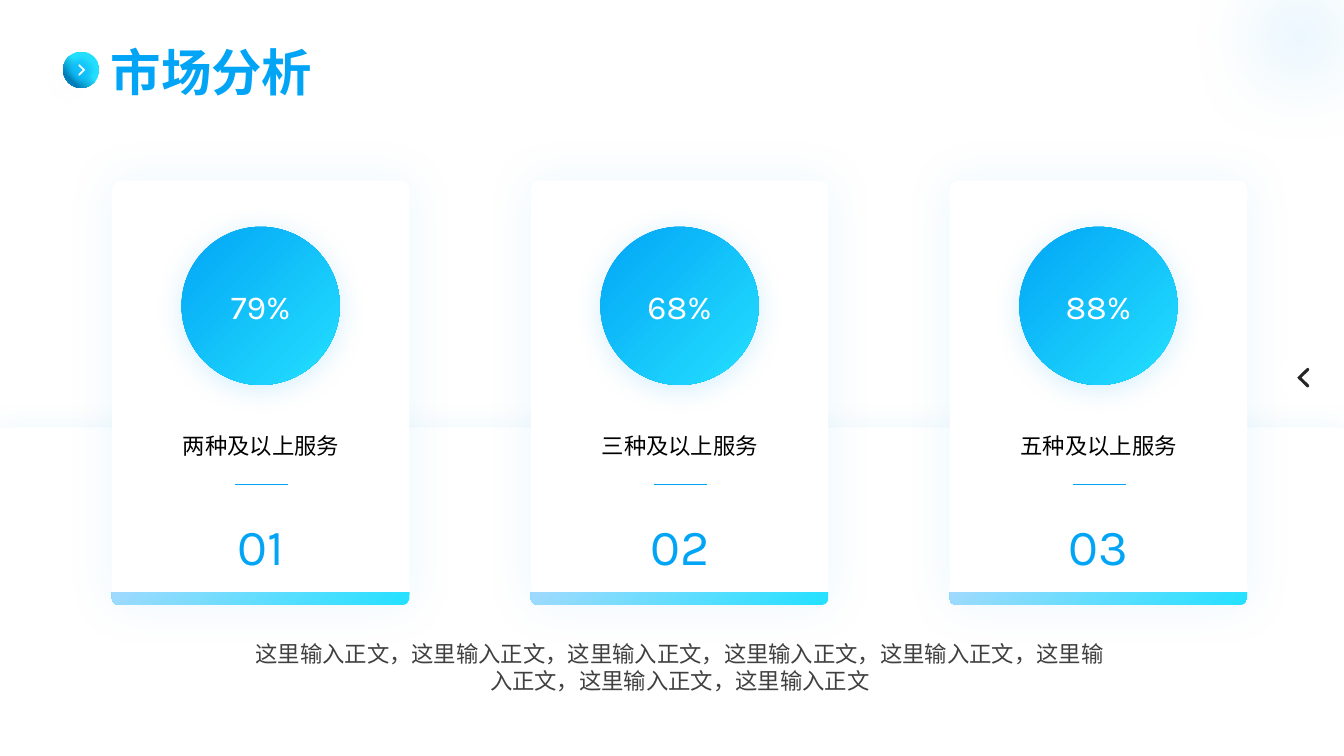
from dataclasses import dataclass
from typing import Any, Optional

from lxml import etree
from pptx import Presentation
from pptx.dml.color import RGBColor
from pptx.enum.shapes import MSO_CONNECTOR, MSO_SHAPE
from pptx.enum.text import MSO_ANCHOR, PP_ALIGN
from pptx.oxml.ns import qn
from pptx.util import Pt

OVAL, RECT = MSO_SHAPE.OVAL, MSO_SHAPE.RECTANGLE
ROUND_RECT, ROUND_TOP = MSO_SHAPE.ROUNDED_RECTANGLE, MSO_SHAPE.ROUND_2_SAME_RECTANGLE
STRAIGHT = MSO_CONNECTOR.STRAIGHT
LEFT, CENTER, TOP = PP_ALIGN.LEFT, PP_ALIGN.CENTER, MSO_ANCHOR.TOP

COLORS = {
    "white": "FFFFFF", "black": "000000", "blue": "02A5F5", "cyan": "24E0FF",
    "deep": "017CB8", "sky": "9FDAFE", "gray": "404040", "dark": "262626",
}


@dataclass(frozen=True)
class Gradient:
    stops: tuple[tuple[int, str], ...]
    angle: int = 45


@dataclass(frozen=True)
class Shadow:
    color: str
    alpha: int
    blur: float
    dist: float = 0
    angle: int = 0


@dataclass(frozen=True)
class Card:
    percent: str
    caption: str
    number: str


BLUE_CYAN = Gradient(((0, "blue"), (100, "cyan")))
BLUE_CYAN_FLAT = Gradient(BLUE_CYAN.stops, 0)
CYAN_BLUE = Gradient(((0, "cyan"), (100, "blue")))
CYAN_SKY = Gradient(((0, "cyan"), (100, "sky")))
BUTTON_RIM = Gradient(((15, "cyan"), (45, "cyan"), (80, "deep"), (100, "blue")))

CARDS = [
    Card("79%", "两种及以上服务", "01"),
    Card("68%", "三种及以上服务", "02"),
    Card("88%", "五种及以上服务", "03"),
]
CARD_LEFT, CARD_PITCH, CARD_TOP = 80, 299.2, 129
CARD_WIDTH, CARD_HEIGHT, BAR_HEIGHT = 212.4, 303, 9

# Chevron pointing right, as fractions of its width and height
CHEVRON = [
    (0.17, 0), (0.92, 0.44), (1, 0.5), (0.92, 0.56), (0.17, 1), (0.05, 0.98),
    (0, 0.9), (0.08, 0.83), (0.66, 0.5), (0.08, 0.17), (0, 0.1), (0.05, 0.02),
]

prs = Presentation()
prs.slide_width, prs.slide_height = Pt(960), Pt(540)
slide = prs.slides.add_slide(prs.slide_layouts[6])
shapes = slide.shapes


def add_color(parent: Any, color: str, alpha: Optional[int] = None) -> None:
    clr = etree.SubElement(parent, qn("a:srgbClr"), val=COLORS[color])
    if alpha is not None:
        etree.SubElement(clr, qn("a:alpha"), val=str(alpha * 1000))


def paint(fill: Any, props: Any, color: str | Gradient, alpha: Optional[int] = None) -> None:
    """Fill a shape or a run; props is the element that holds the fill."""
    fill.solid()
    solid = props.find(qn("a:solidFill"))
    if isinstance(color, str):
        fill.fore_color.rgb = RGBColor.from_string(COLORS[color])
        if alpha is not None:
            etree.SubElement(solid[0], qn("a:alpha"), val=str(alpha * 1000))
        return
    grad = etree.Element(qn("a:gradFill"), rotWithShape="1")
    stops = etree.SubElement(grad, qn("a:gsLst"))
    for pos, name in color.stops:
        add_color(etree.SubElement(stops, qn("a:gs"), pos=str(pos * 1000)), name)
    etree.SubElement(grad, qn("a:lin"), ang=str(color.angle * 60000), scaled="0")
    props.replace(solid, grad)


def finish(sp: Any, color: str | Gradient, alpha: Optional[int] = None,
           shadow: Optional[Shadow] = None, soft: float = 0) -> None:
    props = sp._element.spPr
    paint(sp.fill, props, color, alpha)
    sp.line.fill.background()
    sp.shadow.inherit = False
    effects = props.find(qn("a:effectLst"))
    if shadow:
        outer = etree.SubElement(
            effects, qn("a:outerShdw"), blurRad=str(Pt(shadow.blur)),
            dist=str(Pt(shadow.dist)), dir=str(shadow.angle * 60000),
            algn="ctr", rotWithShape="0")
        add_color(outer, shadow.color, shadow.alpha)
    if soft:
        etree.SubElement(effects, qn("a:softEdge"), rad=str(Pt(soft)))


def add_block(kind: Any, x: float, y: float, w: float, h: float, color: str | Gradient,
              rotation: float = 0, adj: tuple[float, ...] = (), **effects: Any) -> None:
    sp = shapes.add_shape(kind, Pt(x), Pt(y), Pt(w), Pt(h))
    sp.rotation = rotation
    for i, value in enumerate(adj):
        sp.adjustments[i] = value
    finish(sp, color, **effects)


def add_chevron(x: float, y: float, w: float, h: float, color: str,
                shadow: Optional[Shadow] = None) -> None:
    """Draw a chevron; a negative width makes it point left from x."""
    points = [(Pt(x + fx * w), Pt(y + fy * h)) for fx, fy in CHEVRON]
    builder = shapes.build_freeform(*points[0])
    builder.add_line_segments(points[1:], close=True)
    finish(builder.convert_to_shape(), color, shadow=shadow)


def add_text(text: str, x: float, y: float, w: float, h: float, *, size: float,
             font: str, color: str | Gradient, bold: bool = False,
             align: Any = CENTER) -> None:
    tf = shapes.add_textbox(Pt(x), Pt(y), Pt(w), Pt(h)).text_frame
    tf.word_wrap = True
    tf.vertical_anchor = TOP
    p = tf.paragraphs[0]
    p.alignment = align
    r = p.add_run()
    r.text = text
    r.font.size, r.font.name, r.font.bold = Pt(size), font, bold
    paint(r.font.fill, r._r.get_or_add_rPr(), color)


def add_rule(x: float, y: float, length: float) -> None:
    line = shapes.add_connector(STRAIGHT, Pt(x), Pt(y), Pt(x + length), Pt(y))
    line.line.color.rgb = RGBColor.from_string(COLORS["blue"])
    line.line.width = Pt(1)
    etree.SubElement(line._element.spPr, qn("a:effectLst"))


def add_card(card: Card, x: float) -> None:
    add_block(ROUND_RECT, x, CARD_TOP, CARD_WIDTH, CARD_HEIGHT, "white",
              adj=(0.029,), shadow=Shadow("blue", 8, 35))
    add_block(ROUND_TOP, x, CARD_TOP + CARD_HEIGHT - BAR_HEIGHT, CARD_WIDTH, BAR_HEIGHT,
              CYAN_SKY, rotation=180, adj=(0.5, 0))
    add_block(OVAL, x + 49.7, 162, 113, 113, BLUE_CYAN, shadow=Shadow("blue", 17, 20, 3, 90))
    add_text(card.percent, x + 48.6, 200.8, 115.2, 36, size=24, font="Karla", color="white")
    add_text(card.caption, x + 26.5, 305.3, 160, 26.6, size=16, font="Cabin", color="black")
    add_text(card.number, x + 26.5, 364.3, 160, 51, size=36, font="Karla",
             color=BLUE_CYAN_FLAT)
    add_rule(x + 87.7, 346, 38)


# Title button
add_block(OVAL, 45, 36.8, 26, 26, BUTTON_RIM, rotation=90)
add_block(OVAL, 45, 36.8, 26, 26, CYAN_BLUE, rotation=90, soft=4)
add_chevron(56, 46, 4.8, 8, "white", Shadow("black", 40, 24, 15, 135))

# Lower panel and cards
add_block(RECT, 0, 305.3, 960, 234.7, "white", shadow=Shadow("blue", 7, 20))
for i, card in enumerate(CARDS):
    add_card(card, CARD_LEFT + i * CARD_PITCH)

# Body text
add_text("，".join(["这里输入正文"] * 8), 167.8, 453.6, 635.8, 65.5,
         size=16, font="Cabin", color="gray")

# Corner glow
add_block(OVAL, 822.2, -80, 212.4, 212.4, "sky", alpha=54, soft=60)

# Side button
add_block(OVAL, 914.4, 253.5, 32.4, 32.4, "white")
add_chevron(935.2, 262.8, -8.5, 14, "dark")

# Title
add_text("市场分析", 72, 26, 354, 50.4, size=36, font="Karla", color=BLUE_CYAN,
         bold=True, align=LEFT)

prs.save("out.pptx")
